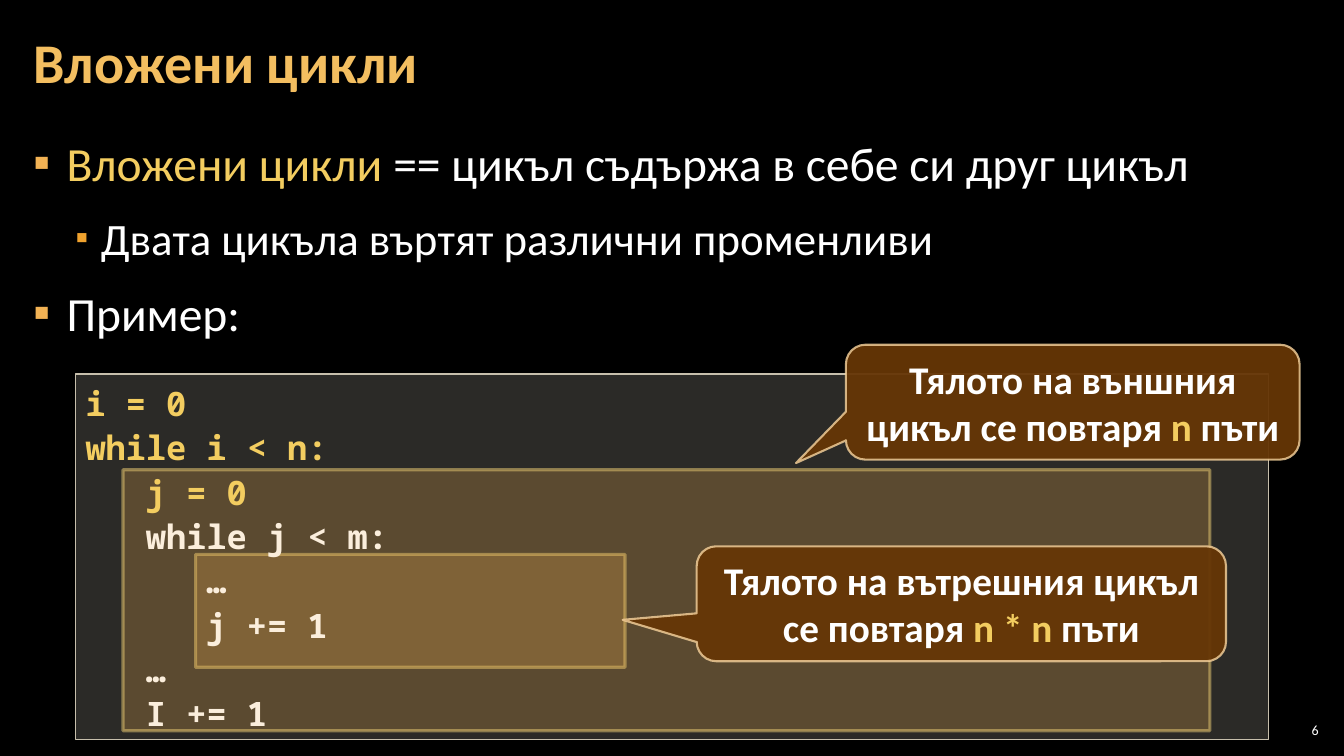
from dataclasses import dataclass

from lxml.etree import SubElement
from pptx import Presentation
from pptx.dml.color import RGBColor
from pptx.enum.shapes import MSO_SHAPE as Preset
from pptx.enum.text import MSO_ANCHOR as Anchor, MSO_AUTO_SIZE as AutoSize, PP_ALIGN as Align
from pptx.oxml.ns import qn
from pptx.util import Inches, Pt


@dataclass(frozen=True)
class Theme:
    background: str = "000000"
    text: str = "FFFFFF"
    title: str = "F3BE60"
    highlight: str = "F3CD60"
    code_text: str = "FBEEDC"
    code_fill: str = "D9D5C7"
    code_line: str = "C7BFAC"
    body_fill: str = "F0A22E"
    callout_fill: str = "663606"
    callout_line: str = "F8D49E"
    bullets: tuple = ("F2B254", "F0A22E")
    bullet_scales: tuple = (100, 80)
    bullet_indents: tuple = ((0.33, -0.33), (0.67, -0.25))
    font: str = "Calibri"
    code_font: str = "Noto Sans Mono"
    title_size: int = 40
    bullet_sizes: tuple = (34, 32)
    callout_size: int = 28
    code_size: int = 24
    number_size: int = 10


THEME = Theme()
CODE_INDENT = 0.6  # three monospaced characters

BULLETS = [
    (0, [("Вложени цикли ", THEME.highlight),
         ("== цикъл съдържа в себе си друг цикъл", THEME.text)]),
    (1, [("Двата цикъла въртят различни променливи", THEME.text)]),
    (0, [("Пример:", THEME.text)]),
]
CODE = [
    (0, "i = 0", THEME.highlight),
    (0, "while i < n:", THEME.highlight),
    (1, "j = 0", THEME.highlight),
    (1, "while j < m:", THEME.code_text),
    (2, "…", THEME.code_text),
    (2, "j += 1", THEME.code_text),
    (1, "…", THEME.code_text),
    (1, "I += 1", THEME.code_text),
]
LOOP_BODIES = [(1.94, 5.5, 4.26, 1.12), (1.22, 4.66, 10.78, 2.59)]
CALLOUTS = [
    ((8.39, 3.42, 4.5, 1.14), (-0.61, 0.53, 0.17),
     "Тялото на външния цикъл се повтаря ", "n "),
    ((6.91, 5.42, 5.25, 1.14), (-0.64, 0.14, 0.17),
     "Тялото на вътрешния цикъл се повтаря ", "n * n "),
]


def rgb(color):
    return RGBColor.from_string(color)


def format_run(run, size, color, bold=False, font=THEME.font):
    run.font.name = font
    run.font.size = Pt(size)
    run.font.bold = bold
    run.font.color.rgb = rgb(color)


def add_runs(paragraph, parts, size, **style):
    for text, color in parts:
        run = paragraph.add_run()
        run.text = text
        format_run(run, size, color, **style)


def indent(paragraph, left, first=0):
    properties = paragraph._p.get_or_add_pPr()
    properties.set("marL", str(Inches(left)))
    properties.set("indent", str(Inches(first)))
    return properties


def paragraphs(frame, count):
    return [frame.paragraphs[0]] + [frame.add_paragraph() for _ in range(count - 1)]


def set_margins(frame, side, top=0.04):
    frame.margin_left = frame.margin_right = Inches(side)
    frame.margin_top = frame.margin_bottom = Inches(top)
    frame.word_wrap = True


def set_opacity(shape, xpath, percent):
    color = shape._element.spPr.xpath(xpath)[0]
    SubElement(color, qn("a:alpha"), val=str(percent * 1000))


def add_panel(slide, box, preset, fill, fill_opacity, line, line_width, line_opacity=100):
    shape = slide.shapes.add_shape(preset, *map(Inches, box))
    shape.shadow.inherit = False
    shape.fill.solid()
    shape.fill.fore_color.rgb = rgb(fill)
    shape.line.color.rgb = rgb(line)
    shape.line.width = Pt(line_width)
    set_opacity(shape, "a:solidFill/a:srgbClr", fill_opacity)
    set_opacity(shape, "a:ln/a:solidFill/a:srgbClr", line_opacity)
    return shape


def add_title(slide, text):
    title = slide.shapes.title
    title.left, title.top, title.width, title.height = map(Inches, (0.21, 0.04, 10.47, 1.21))
    frame = title.text_frame
    frame.text = text
    frame.auto_size = AutoSize.NONE
    frame.vertical_anchor = Anchor.MIDDLE
    set_margins(frame, 0.12)
    paragraph = frame.paragraphs[0]
    paragraph.alignment = Align.LEFT
    paragraph.line_spacing = 0.9
    format_run(paragraph.runs[0], THEME.title_size, THEME.title, bold=True)


def add_bullets(slide):
    frame = slide.shapes.add_textbox(*map(Inches, (0.21, 1.26, 12.91, 6.09))).text_frame
    set_margins(frame, 0.12)
    for paragraph, (level, parts) in zip(paragraphs(frame, len(BULLETS)), BULLETS):
        paragraph.level = level
        paragraph.line_spacing = 1.05
        paragraph.space_before = paragraph.space_after = Pt(6)
        add_runs(paragraph, parts, THEME.bullet_sizes[level])
        properties = indent(paragraph, *THEME.bullet_indents[level])
        color = SubElement(properties, qn("a:buClr"))
        SubElement(color, qn("a:srgbClr"), val=THEME.bullets[level])
        SubElement(properties, qn("a:buSzPct"), val=str(THEME.bullet_scales[level] * 1000))
        SubElement(properties, qn("a:buFont"), typeface=THEME.font)
        SubElement(properties, qn("a:buChar"), char="▪")


def add_code(slide):
    panel = add_panel(slide, (0.75, 3.71, 11.83, 3.63), Preset.RECTANGLE,
                      THEME.code_fill, 20, THEME.code_line, 1)
    frame = panel.text_frame
    frame.word_wrap = True
    frame.vertical_anchor = Anchor.TOP
    for paragraph, (depth, text, color) in zip(paragraphs(frame, len(CODE)), CODE):
        paragraph.alignment = Align.LEFT
        paragraph.line_spacing = 1.1
        indent(paragraph, depth * CODE_INDENT)
        add_runs(paragraph, [(text, color)], THEME.code_size, bold=True, font=THEME.code_font)


def add_callout(slide, box, adjustments, text, count):
    callout = add_panel(slide, box, Preset.ROUNDED_RECTANGULAR_CALLOUT,
                        THEME.callout_fill, 95, THEME.callout_line, 1.5, 80)
    for index, value in enumerate(adjustments):
        callout.adjustments[index] = value
    frame = callout.text_frame
    frame.word_wrap = True
    frame.vertical_anchor = Anchor.MIDDLE
    paragraph = frame.paragraphs[0]
    paragraph.alignment = Align.CENTER
    parts = [(text, THEME.text), (count, THEME.highlight), ("пъти", THEME.text)]
    add_runs(paragraph, parts, THEME.callout_size, bold=True)


def add_slide_number(slide, number):
    frame = slide.shapes.add_textbox(*map(Inches, (12.65, 7.14, 0.47, 0.21))).text_frame
    set_margins(frame, 0.04)
    frame.vertical_anchor = Anchor.MIDDLE
    paragraph = frame.paragraphs[0]
    paragraph.alignment = Align.RIGHT
    add_runs(paragraph, [(number, THEME.text)], THEME.number_size)


def main():
    presentation = Presentation()
    presentation.slide_width, presentation.slide_height = Inches(13.33), Inches(7.5)
    slide = presentation.slides.add_slide(presentation.slide_layouts[5])
    slide.background.fill.solid()
    slide.background.fill.fore_color.rgb = rgb(THEME.background)

    # Heading and bullets
    add_title(slide, "Вложени цикли")
    add_bullets(slide)

    # Loop bodies behind the code
    for box in LOOP_BODIES:
        add_panel(slide, box, Preset.RECTANGLE, THEME.body_fill, 25, THEME.highlight, 2.25, 50)
    add_slide_number(slide, "6")
    add_code(slide)

    # Explanations
    for callout in CALLOUTS:
        add_callout(slide, *callout)

    presentation.save("out.pptx")


main()
